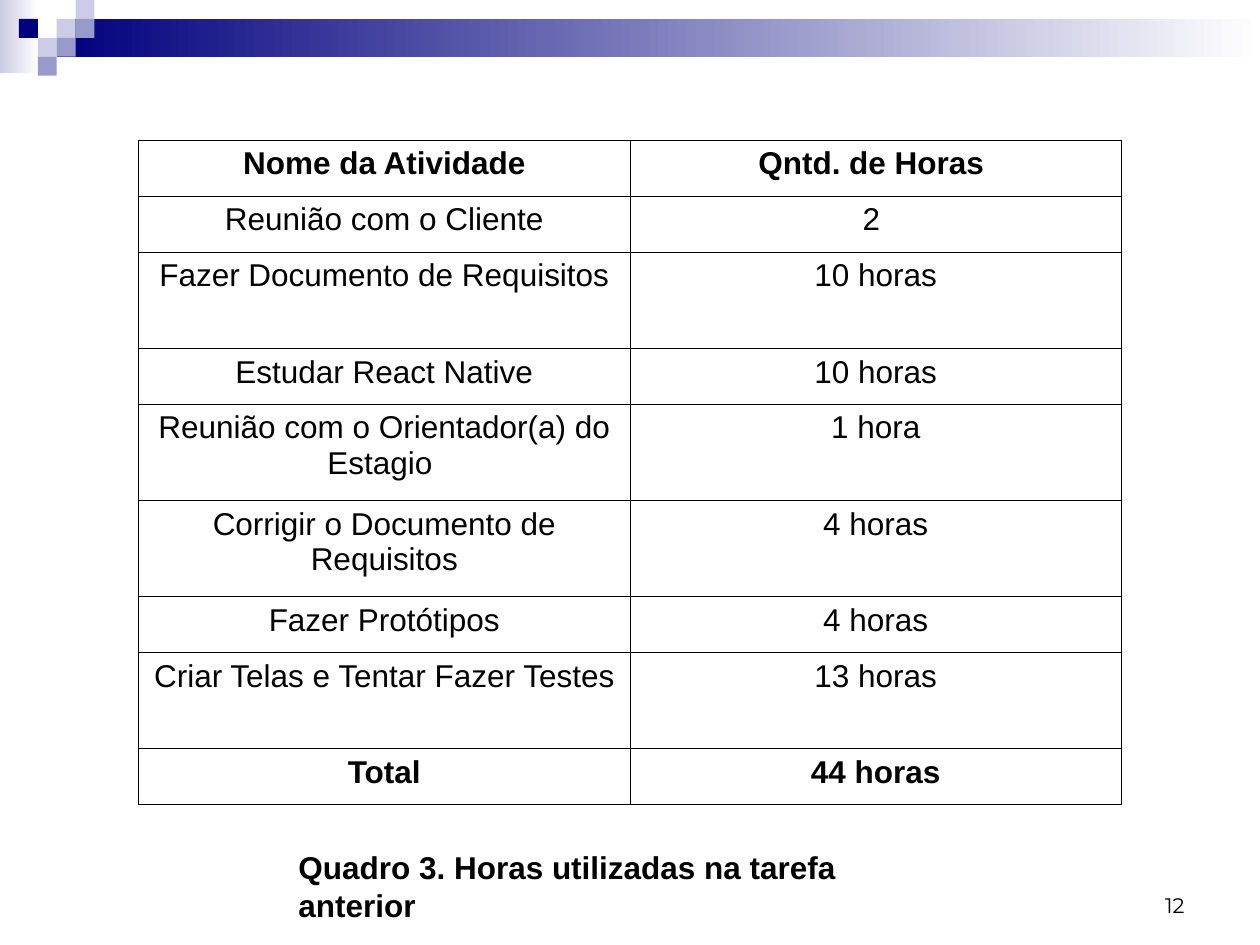
from dataclasses import dataclass

from lxml import etree
from pptx import Presentation
from pptx.dml.color import RGBColor
from pptx.enum.shapes import MSO_SHAPE
from pptx.enum.text import MSO_ANCHOR, MSO_AUTO_SIZE, PP_ALIGN
from pptx.oxml.ns import qn
from pptx.util import Pt

RECTANGLE = MSO_SHAPE.RECTANGLE
LEFT, CENTER, RIGHT = PP_ALIGN.LEFT, PP_ALIGN.CENTER, PP_ALIGN.RIGHT
TOP, BOTTOM = MSO_ANCHOR.TOP, MSO_ANCHOR.BOTTOM
FIT_SHAPE = MSO_AUTO_SIZE.SHAPE_TO_FIT_TEXT

BLACK, WHITE = "000000", "FFFFFF"
NAVY, LAVENDER, PERIWINKLE = "00007D", "CCCCE6", "9999CC"
SQUARE = 10.8
BLANK_LAYOUT = 6
SINGLE_ROW, DOUBLE_ROW = 32, 55
COLUMN_WIDTH = 280.8
BORDER_WIDTH = 0.45


@dataclass
class Box:
    left: float
    top: float
    width: float
    height: float

    def lengths(self) -> tuple:
        return Pt(self.left), Pt(self.top), Pt(self.width), Pt(self.height)


@dataclass
class Band:
    box: Box
    color: str


@dataclass
class Square:
    column: int
    row: int
    color: str


@dataclass
class Activity:
    name: str
    hours: str
    height: float = SINGLE_ROW
    bold: bool = False


BANDS = [
    Band(Box(0, 0, 22.3, 41.8), LAVENDER),
    Band(Box(32.4, 10.8, 687.6, 21.6), NAVY),
]
SQUARES = [
    Square(3, 1, LAVENDER),
    Square(4, 0, LAVENDER),
    Square(4, 1, PERIWINKLE),
    Square(2, 2, LAVENDER),
    Square(1, 1, NAVY),
    Square(3, 2, PERIWINKLE),
    Square(2, 3, PERIWINKLE),
]
ACTIVITIES = [
    Activity("Nome da Atividade", "Qntd. de Horas ", bold=True),
    Activity("Reunião com o Cliente", "2 "),
    Activity("Fazer Documento de Requisitos", "10 horas", DOUBLE_ROW),
    Activity("Estudar React Native", "10 horas"),
    Activity("Reunião com o Orientador(a) do Estagio ", "1 hora", DOUBLE_ROW),
    Activity("Corrigir o Documento de Requisitos", "4 horas", DOUBLE_ROW),
    Activity("Fazer Protótipos", "4 horas"),
    Activity("Criar Telas e Tentar Fazer Testes", "13 horas", DOUBLE_ROW),
    Activity("Total", "44 horas", bold=True),
]


def rgb(color: str) -> RGBColor:
    return RGBColor.from_string(color)


def add_rectangle(slide, box: Box):
    shape = slide.shapes.add_shape(RECTANGLE, *box.lengths())
    shape.shadow.inherit = False
    shape.line.fill.background()
    return shape


def add_band(slide, band: Band) -> None:
    fill = add_rectangle(slide, band.box).fill
    fill.gradient()
    fill.gradient_angle = 0
    for stop, color in zip(fill.gradient_stops, (band.color, WHITE)):
        stop.color.rgb = rgb(color)


def add_square(slide, square: Square) -> None:
    box = Box(square.column * SQUARE, square.row * SQUARE, SQUARE, SQUARE)
    fill = add_rectangle(slide, box).fill
    fill.solid()
    fill.fore_color.rgb = rgb(square.color)


def write_text(text_frame, text: str, alignment, size: float = 18,
               font_name: str = "Arial", bold: bool = False) -> None:
    text_frame.text = text
    paragraph = text_frame.paragraphs[0]
    paragraph.alignment = alignment
    font = paragraph.runs[0].font
    font.name = font_name
    font.size = Pt(size)
    font.bold = bold
    font.color.rgb = rgb(BLACK)


def add_text_box(slide, box: Box, anchor, wrap: bool):
    text_frame = slide.shapes.add_textbox(*box.lengths()).text_frame
    text_frame.word_wrap = wrap
    text_frame.vertical_anchor = anchor
    return text_frame


def add_borders(cell) -> None:
    properties = cell._tc.get_or_add_tcPr()
    for index, side in enumerate(("a:lnL", "a:lnR", "a:lnT", "a:lnB")):
        line = etree.Element(qn(side), w=str(Pt(BORDER_WIDTH)))
        fill = etree.SubElement(line, qn("a:solidFill"))
        etree.SubElement(fill, qn("a:srgbClr"), val=BLACK)
        properties.insert(index, line)


def add_hours_table(slide, activities: list[Activity]) -> None:
    height = sum(activity.height for activity in activities)
    box = Box(79.2, 80, 2 * COLUMN_WIDTH, height)
    table = slide.shapes.add_table(len(activities), 2, *box.lengths()).table
    table.first_row = False
    table.horz_banding = False
    for column in table.columns:
        column.width = Pt(COLUMN_WIDTH)
    for row, activity in zip(table.rows, activities):
        row.height = Pt(activity.height)
        for cell, text in zip(row.cells, (activity.name, activity.hours)):
            write_text(cell.text_frame, text, CENTER, bold=activity.bold)
            cell.fill.background()
            add_borders(cell)


def main() -> None:
    presentation = Presentation()
    presentation.slide_width = Pt(720)
    presentation.slide_height = Pt(540)
    slide = presentation.slides.add_slide(presentation.slide_layouts[BLANK_LAYOUT])

    for band in BANDS:
        add_band(slide, band)
    for square in SQUARES:
        add_square(slide, square)

    page_number = add_text_box(slide, Box(516, 492, 168, 36), BOTTOM, True)
    write_text(page_number, "12", RIGHT, 12, "Montserrat")

    add_hours_table(slide, ACTIVITIES)

    caption = add_text_box(slide, Box(163.5, 481, 393, 29), TOP, False)
    caption.auto_size = FIT_SHAPE
    write_text(caption, "Quadro 3. Horas utilizadas na tarefa anterior", LEFT, bold=True)

    presentation.save("out.pptx")


if __name__ == "__main__":
    main()
